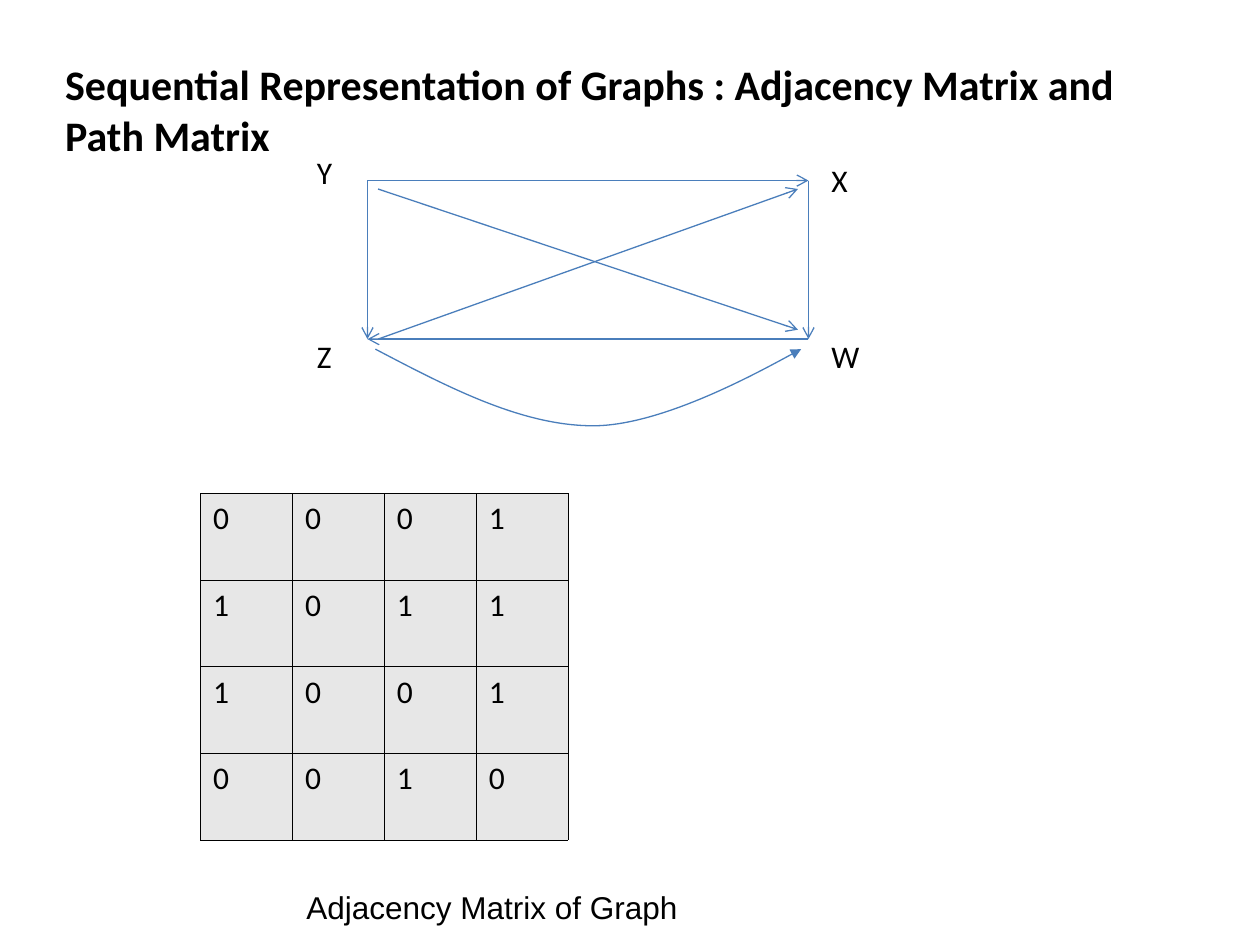
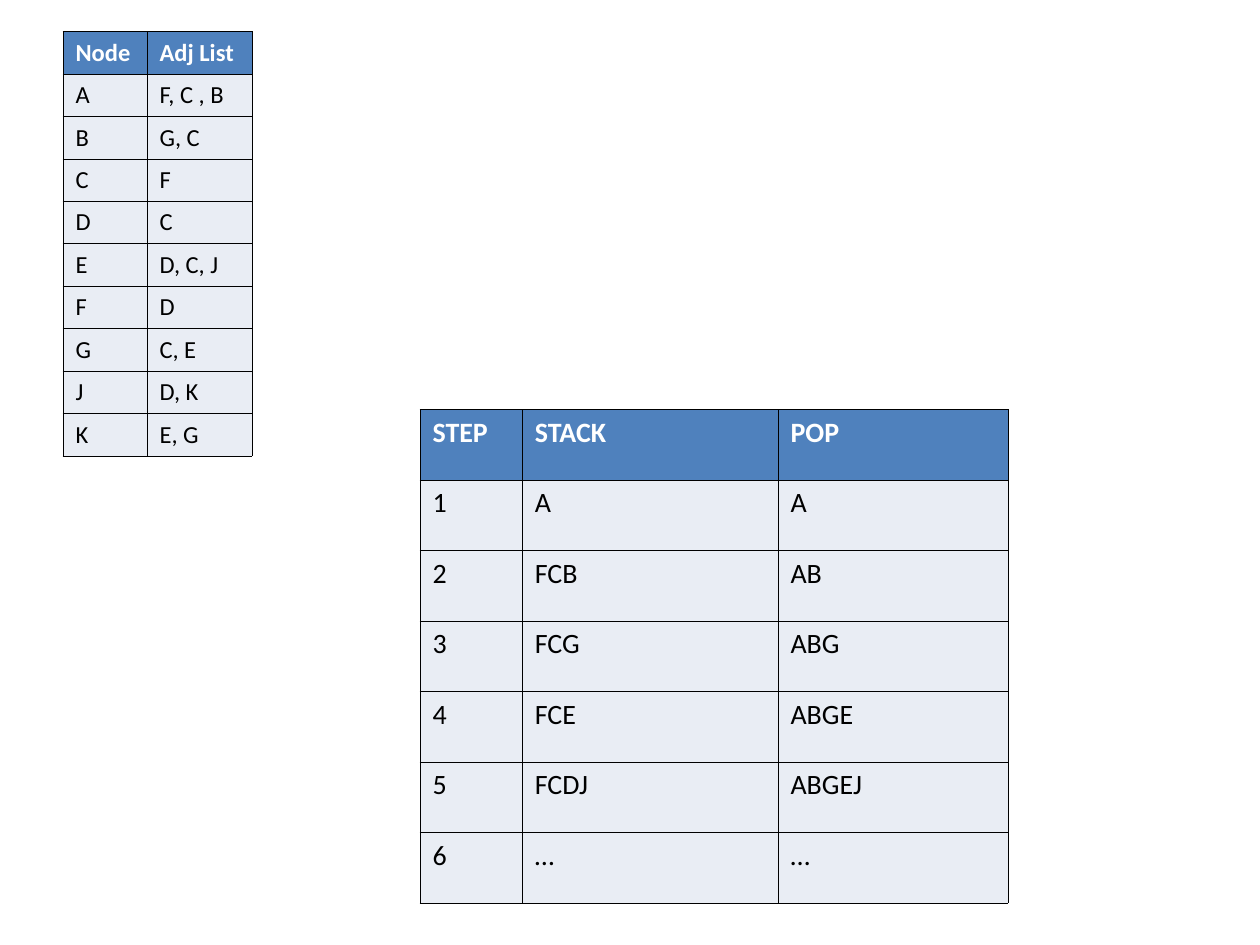
from lxml.etree import SubElement
from pptx import Presentation
from pptx.dml.color import RGBColor
from pptx.enum.shapes import MSO_CONNECTOR as Connector
from pptx.enum.text import MSO_ANCHOR as Anchor, MSO_AUTO_SIZE as AutoSize, PP_ALIGN as Align
from pptx.oxml.ns import qn
from pptx.util import Inches, Pt

TITLE_ONLY, BLANK = 5, 6
BLACK, WHITE = "000000", "FFFFFF"
EDGE_BLUE, HEADER_BLUE = "4A7EBB", "4F81BD"
BODY_BLUE, MATRIX_GREY = "E9EDF4", "E7E7E7"

# Ends of the graph's edges, in grid units
LEFT, RIGHT, TOP, BOTTOM = 35, 77, 17.2, 32.3
INNER_LEFT, INNER_RIGHT = 36, 76
EDGES = [
    ((LEFT, TOP), (RIGHT, TOP)),
    ((RIGHT, TOP), (RIGHT, BOTTOM)),
    ((RIGHT, BOTTOM), (LEFT, BOTTOM)),
    ((LEFT, TOP), (LEFT, BOTTOM)),
    ((INNER_LEFT, BOTTOM), (INNER_RIGHT, 18)),
    ((INNER_LEFT, 18), (INNER_RIGHT, 31.4)),
]
NODES = {"X": (78, 14.75), "W": (78, 31.5), "Y": (29, 14), "Z": (29, 31.5)}
Z_TO_W_CURVE = [
    (35.75, 33.25), (42.7, 36.9), (49.7, 40.55), (56.5, 40.55),
    (63.2, 40.55), (76.3, 33.25), (76.3, 33.25),
]

MATRIX = ["0001", "1011", "1001", "0010"]
ADJACENCY_LISTS = [
    ("Node", "Adj List"),
    ("A", "F, C , B"), ("B", "G, C"), ("C", "F"), ("D", "C"), ("E", "D, C, J"),
    ("F", "D"), ("G", "C, E"), ("J", "D, K"), ("K", "E, G"),
]
STACK_STEPS = [
    ("STEP", "STACK", "POP"),
    ("1", "A", "A"), ("2", "FCB", "AB"), ("3", "FCG", "ABG"),
    ("4", "FCE", "ABGE"), ("5", "FCDJ", "ABGEJ"), ("6", "…", "…"),
]


def grid(*units):
    """Lengths on a grid of 120 columns and 90 rows, twelve to the inch."""
    return [Inches(unit / 12) for unit in units]


def color(hex_string):
    return RGBColor.from_string(hex_string)


def write(text_frame, text, size, font_name="Calibri", bold=False, text_color=BLACK):
    text_frame.text = text
    text_frame.word_wrap = True
    for run in text_frame.paragraphs[0].runs:
        font = run.font
        font.name, font.size, font.bold = font_name, Pt(size), bold
        font.color.rgb = color(text_color)


def set_title(slide, text, box):
    title = slide.shapes.title
    title.left, title.top, title.width, title.height = grid(*box)
    write(title.text_frame, text, 24, bold=True)
    title.text_frame.auto_size = AutoSize.NONE
    title.text_frame.vertical_anchor = Anchor.TOP
    title.text_frame.paragraphs[0].alignment = Align.LEFT


def add_label(slide, text, box, font_name="Calibri"):
    label = slide.shapes.add_textbox(*grid(*box))
    write(label.text_frame, text, 18, font_name)
    label.text_frame.auto_size = AutoSize.SHAPE_TO_FIT_TEXT


def style_edge(edge, arrowhead):
    edge.line.color.rgb = color(EDGE_BLUE)
    edge.line.width = Pt(0.75)
    properties = edge.element.spPr
    SubElement(properties.find(qn("a:ln")), qn("a:tailEnd"), type=arrowhead)
    if properties.find(qn("a:effectLst")) is None:
        SubElement(properties, qn("a:effectLst"))


def add_edge(slide, start, end):
    edge = slide.shapes.add_connector(Connector.STRAIGHT, *grid(*start, *end))
    style_edge(edge, "arrow")


def add_curved_edge(slide, points):
    """Draw cubic curves: a start, then two control points and an end for each."""
    start, *others = [grid(*point) for point in points]
    builder = slide.shapes.build_freeform(*start)
    builder.add_line_segments(others, close=False)
    edge = builder.convert_to_shape()
    edge.fill.background()
    edge.shadow.inherit = False

    outline = edge.element.find(".//" + qn("a:path"))
    segments = outline.findall(qn("a:lnTo"))
    for first in range(0, len(segments), 3):
        curve = SubElement(outline, qn("a:cubicBezTo"))
        for segment in segments[first:first + 3]:
            curve.append(segment[0])
            outline.remove(segment)
    style_edge(edge, "triangle")


def add_borders(cell):
    properties = cell._tc.get_or_add_tcPr()
    for side in ("lnL", "lnR", "lnT", "lnB"):
        border = SubElement(properties, qn(f"a:{side}"), w=str(Pt(0.45)))
        fill = SubElement(border, qn("a:solidFill"))
        SubElement(fill, qn("a:srgbClr"), val=BLACK)


def add_grid_table(slide, rows, corner, widths, height, size, body_fill, has_header=True):
    frame = slide.shapes.add_table(
        len(rows), len(widths), *grid(*corner, sum(widths), height))
    table = frame.table
    table.first_row, table.horz_banding = has_header, False
    for column, width in zip(table.columns, grid(*widths)):
        column.width = width
    for row_index, row in enumerate(rows):
        is_header = has_header and row_index == 0
        for column_index, text in enumerate(row):
            cell = table.cell(row_index, column_index)
            add_borders(cell)
            cell.fill.solid()
            cell.fill.fore_color.rgb = color(HEADER_BLUE if is_header else body_fill)
            write(cell.text_frame, text, size, bold=is_header,
                  text_color=WHITE if is_header else BLACK)


def add_matrix_slide(presentation):
    slide = presentation.slides.add_slide(presentation.slide_layouts[TITLE_ONLY])
    set_title(slide, "Sequential Representation of Graphs : Adjacency Matrix and Path Matrix",
              (5, 5, 107, 10.8))
    for start, end in EDGES:
        add_edge(slide, start, end)
    add_curved_edge(slide, Z_TO_W_CURVE)
    for name, corner in NODES.items():
        add_label(slide, name, (*corner, 5, 4.85))
    add_grid_table(slide, MATRIX, (19.1, 47), [8.75] * 4, 33, 18, MATRIX_GREY,
                   has_header=False)
    add_label(slide, "Adjacency Matrix of Graph", (28, 84, 51, 4.85), "Arial")


def add_traversal_slide(presentation):
    slide = presentation.slides.add_slide(presentation.slide_layouts[BLANK])
    add_grid_table(slide, ADJACENCY_LISTS, (6, 3), [8, 10], 40.4, 14, BODY_BLUE)
    add_grid_table(slide, STACK_STEPS, (40, 39), [9.75, 24.35, 21.9], 47, 16, BODY_BLUE)


def main():
    presentation = Presentation()
    presentation.slide_width, presentation.slide_height = grid(120, 90)
    add_matrix_slide(presentation)
    add_traversal_slide(presentation)
    presentation.save("out.pptx")


if __name__ == "__main__":
    main()
